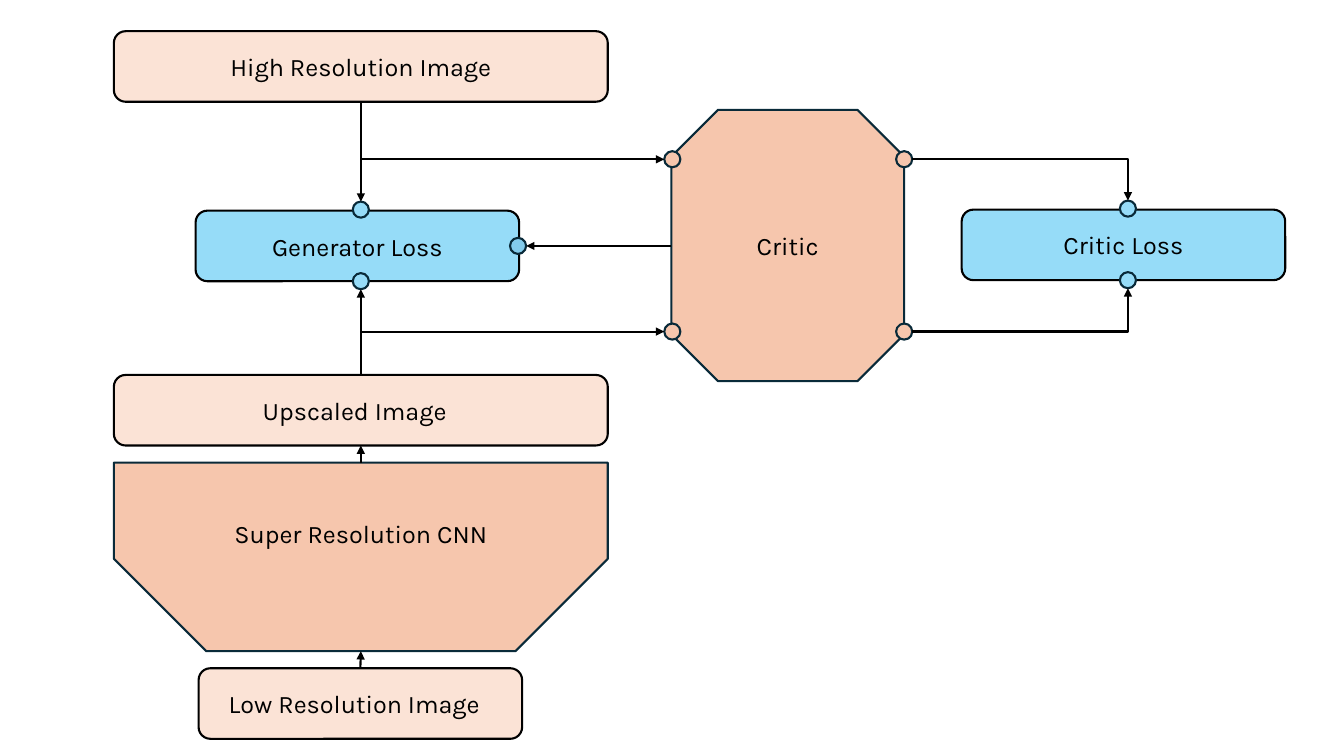
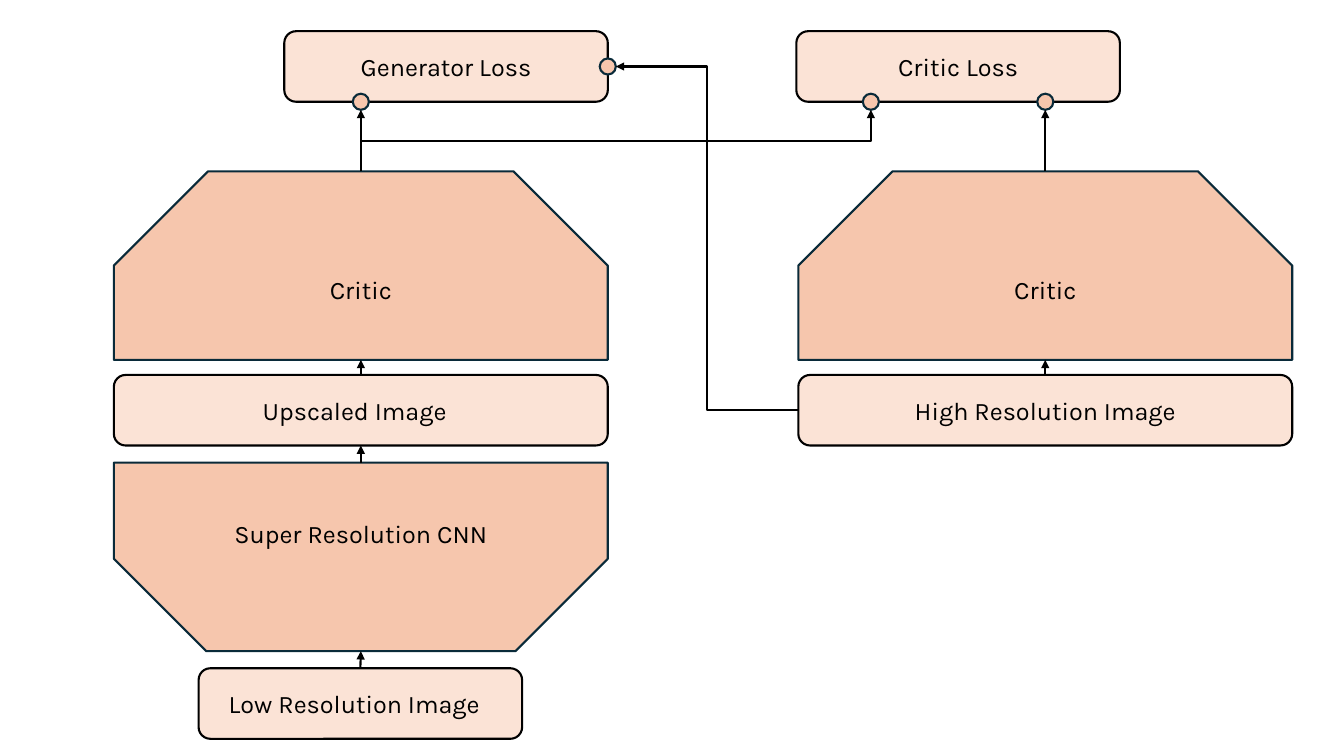
import dataclasses

import pptx
import pptx.dml.color
import pptx.enum.shapes
import pptx.enum.text
import pptx.oxml
import pptx.oxml.ns
import pptx.util

SHAPE = pptx.enum.shapes.MSO_SHAPE
CONNECTOR = pptx.enum.shapes.MSO_CONNECTOR

CELL = 0.1
SLIDE_COLUMNS, SLIDE_ROWS = 133.33, 75
SITES = {
    SHAPE.ROUNDED_RECTANGLE: {"top": 0, "left": 1, "bottom": 2, "right": 3},
    SHAPE.OVAL: {"top": 0, "left": 2, "bottom": 4, "right": 6},
    SHAPE.SNIP_2_SAME_RECTANGLE: {"right": 0, "bottom": 1, "left": 2, "top": 3},
}

AXIS = 35.8
WIDE, NARROW = 49, 32.1
BOX_HEIGHT, NETWORK_HEIGHT = 7, 18.7
NODE_SIZE = 1.6
LEFT_COLUMN, RIGHT_COLUMN = 11.3, 79.2
TOP_ROW, CRITIC_ROW, IMAGE_ROW, CNN_ROW, INPUT_ROW = 3.1, 17, 37.2, 45.9, 66.3
TRAILING_SPACE = 1.2


@dataclasses.dataclass(frozen=True)
class Theme:
    font: str = "Karla"
    text_size: int = 18
    line_width: float = 1.5
    ink: str = "000000"
    outline: str = "092A39"
    image: str = "FBE3D6"
    network: str = "F6C6AD"
    loss: str = "96DCF8"
    loss_input: str = "83CBEB"


def cells(count):
    return pptx.util.Inches(round(count * CELL, 3))


def color(value):
    return pptx.dml.color.RGBColor.from_string(value)


def apply_format(target, values):
    for name, value in values.items():
        setattr(target, name, value)


class Diagram:
    def __init__(self, presentation, theme):
        self.presentation = presentation
        self.theme = theme
        self.slide = None

    def new_slide(self):
        self.slide = self.presentation.slides.add_slide(self.presentation.slide_layouts[6])

    def block(self, kind, column, row, width, height, fill, outline):
        shape = self.slide.shapes.add_shape(
            kind, cells(column), cells(row), cells(width), cells(height))
        shape.shadow.inherit = False
        shape.fill.solid()
        shape.fill.fore_color.rgb = color(fill)
        self.stroke(shape.line, outline)
        return shape

    def stroke(self, line, value):
        line.color.rgb = color(value)
        line.width = pptx.util.Pt(self.theme.line_width)

    def label(self, shape, text, trailing=0):
        frame = shape.text_frame
        apply_format(frame, {
            "word_wrap": True,
            "vertical_anchor": pptx.enum.text.MSO_ANCHOR.MIDDLE,
            "margin_right": cells(1 + trailing),
        })
        paragraph = frame.paragraphs[0]
        paragraph.alignment = pptx.enum.text.PP_ALIGN.CENTER
        run = paragraph.add_run()
        run.text = text
        apply_format(run.font, {
            "name": self.theme.font,
            "size": pptx.util.Pt(self.theme.text_size),
        })
        run.font.color.rgb = color(self.theme.ink)

    def box(self, text, column, row, width, fill, trailing=0):
        shape = self.block(SHAPE.ROUNDED_RECTANGLE, column, row, width, BOX_HEIGHT,
                           fill, self.theme.ink)
        self.label(shape, text, trailing)
        return shape

    def network(self, text, column, row, width, height, snips):
        shape = self.block(SHAPE.SNIP_2_SAME_RECTANGLE, column, row, width, height,
                           self.theme.network, self.theme.outline)
        for index, snip in enumerate(snips):
            shape.adjustments[index] = snip
        self.label(shape, text)
        return shape

    def node(self, column, row, fill):
        return self.block(SHAPE.OVAL, column - NODE_SIZE / 2, row - NODE_SIZE / 2,
                          NODE_SIZE, NODE_SIZE, fill, self.theme.outline)

    def locate(self, anchor):
        first, second = anchor
        if not isinstance(second, str):
            return cells(first), cells(second)
        across = {"left": 0, "right": 2}.get(second, 1)
        down = {"top": 0, "bottom": 2}.get(second, 1)
        return first.left + first.width * across // 2, first.top + first.height * down // 2

    def join(self, connector, anchor, tag, connect):
        shape, side = anchor
        if not isinstance(side, str):
            return
        site = SITES[shape.auto_shape_type][side]
        if shape.auto_shape_type == SHAPE.ROUNDED_RECTANGLE:
            connect(shape, site)
            return
        properties = connector.element.find(".//" + pptx.oxml.ns.qn("p:cNvCxnSpPr"))
        properties.append(pptx.oxml.parse_xml(
            f'<a:{tag} {pptx.oxml.ns.nsdecls("a")} id="{shape.shape_id}" idx="{site}"/>'))

    def arrow(self, start, end, kind=CONNECTOR.STRAIGHT, corner=False, upright=False):
        begin_x, begin_y = self.locate(start)
        end_x, end_y = self.locate(end)
        if upright:
            middle_x, middle_y = (begin_x + end_x) // 2, (begin_y + end_y) // 2
            half_width, half_height = (begin_y - end_y) // 2, (end_x - begin_x) // 2
            begin_x, begin_y = middle_x + half_width, middle_y + half_height
            end_x, end_y = middle_x - half_width, middle_y - half_height
        connector = self.slide.shapes.add_connector(kind, begin_x, begin_y, end_x, end_y)
        self.join(connector, start, "stCxn", connector.begin_connect)
        self.join(connector, end, "endCxn", connector.end_connect)
        self.stroke(connector.line, self.theme.ink)
        properties = connector.element.spPr
        if upright:
            properties.find(pptx.oxml.ns.qn("a:xfrm")).set("rot", "5400000")
        if corner:
            properties.find(pptx.oxml.ns.qn("a:prstGeom")).set("prst", "bentConnector2")
        namespace = pptx.oxml.ns.nsdecls("a")
        properties.find(pptx.oxml.ns.qn("a:ln")).append(
            pptx.oxml.parse_xml(f'<a:tailEnd {namespace} type="triangle"/>'))
        properties.append(pptx.oxml.parse_xml(f"<a:effectLst {namespace}/>"))

    def elbow(self, start, end, corner=False, upright=False):
        self.arrow(start, end, CONNECTOR.ELBOW, corner, upright)

    def generator(self):
        low = self.box("Low Resolution Image", 19.7, INPUT_ROW, NARROW,
                       self.theme.image, TRAILING_SPACE)
        self.network("Super Resolution CNN", LEFT_COLUMN, CNN_ROW, WIDE,
                     NETWORK_HEIGHT, (0, 0.49))
        upscaled = self.box("Upscaled Image", LEFT_COLUMN, IMAGE_ROW, WIDE,
                            self.theme.image, TRAILING_SPACE)
        self.arrow((low, "top"), (AXIS, CNN_ROW + NETWORK_HEIGHT))
        self.arrow((AXIS, CNN_ROW), (upscaled, "bottom"))
        return upscaled


def build_shared_critic(diagram):
    theme = diagram.theme
    diagram.new_slide()
    upscaled = diagram.generator()
    high = diagram.box("High Resolution Image", LEFT_COLUMN, TOP_ROW, WIDE, theme.image)

    diagram.box("Generator Loss", 19.4, 20.9, NARROW, theme.loss)
    upper_node, lower_node = [diagram.node(AXIS, row, theme.loss) for row in (20.8, 27.9)]
    side_node = diagram.node(51.4, 24.4, theme.loss_input)
    diagram.arrow((high, "bottom"), (upper_node, "top"))
    diagram.arrow((upscaled, "top"), (lower_node, "bottom"))

    critic_left, critic_width = 66.6, 23.1
    diagram.network("Critic", critic_left, 10.9, critic_width, 26.9, (0.2, 0.2))
    diagram.arrow((critic_left, 24.4), (side_node, "right"))

    diagram.box("Critic Loss", 95.4, 20.8, NARROW, theme.loss)
    for critic_row, loss_row, side in ((15.8, 20.7, "top"), (32.9, 27.8, "bottom")):
        entry = diagram.node(critic_left + 0.1, critic_row, theme.network)
        outlet = diagram.node(critic_left + critic_width, critic_row, theme.network)
        loss_node = diagram.node(111.9, loss_row, theme.loss)
        diagram.arrow((AXIS, critic_row), (entry, "left"))
        diagram.elbow((outlet, "right"), (loss_node, side), corner=True)


def build_twin_critics(diagram):
    theme = diagram.theme
    diagram.new_slide()
    upscaled = diagram.generator()
    high = diagram.box("High Resolution Image", RIGHT_COLUMN, IMAGE_ROW, WIDE, theme.image)

    left_critic, right_critic = [
        diagram.network("Critic", column, CRITIC_ROW, WIDE, NETWORK_HEIGHT, (0.5, 0))
        for column in (LEFT_COLUMN, RIGHT_COLUMN)]
    right_axis = RIGHT_COLUMN + WIDE / 2
    diagram.arrow((upscaled, "top"), (AXIS, CRITIC_ROW + NETWORK_HEIGHT))
    diagram.arrow((high, "top"), (right_axis, CRITIC_ROW + NETWORK_HEIGHT))

    diagram.box("Generator Loss", 28.2, TOP_ROW, NARROW, theme.image)
    diagram.box("Critic Loss", 79, TOP_ROW, NARROW, theme.image)
    loss_bottom = TOP_ROW + BOX_HEIGHT
    generator_node, upscaled_node, high_node = [
        diagram.node(column, loss_bottom, theme.network)
        for column in (AXIS, 86.4, right_axis)]
    side_node = diagram.node(60.3, TOP_ROW + BOX_HEIGHT / 2, theme.network)

    diagram.arrow((AXIS, CRITIC_ROW), (generator_node, "bottom"))
    diagram.arrow((right_axis, CRITIC_ROW), (high_node, "bottom"))
    diagram.elbow((left_critic, "top"), (upscaled_node, "bottom"), upright=True)
    diagram.elbow((high, "left"), (side_node, "right"))


def main():
    presentation = pptx.Presentation()
    apply_format(presentation, {
        "slide_width": cells(SLIDE_COLUMNS),
        "slide_height": cells(SLIDE_ROWS),
    })
    diagram = Diagram(presentation, Theme())
    build_shared_critic(diagram)
    build_twin_critics(diagram)
    presentation.save("out.pptx")


if __name__ == "__main__":
    main()
